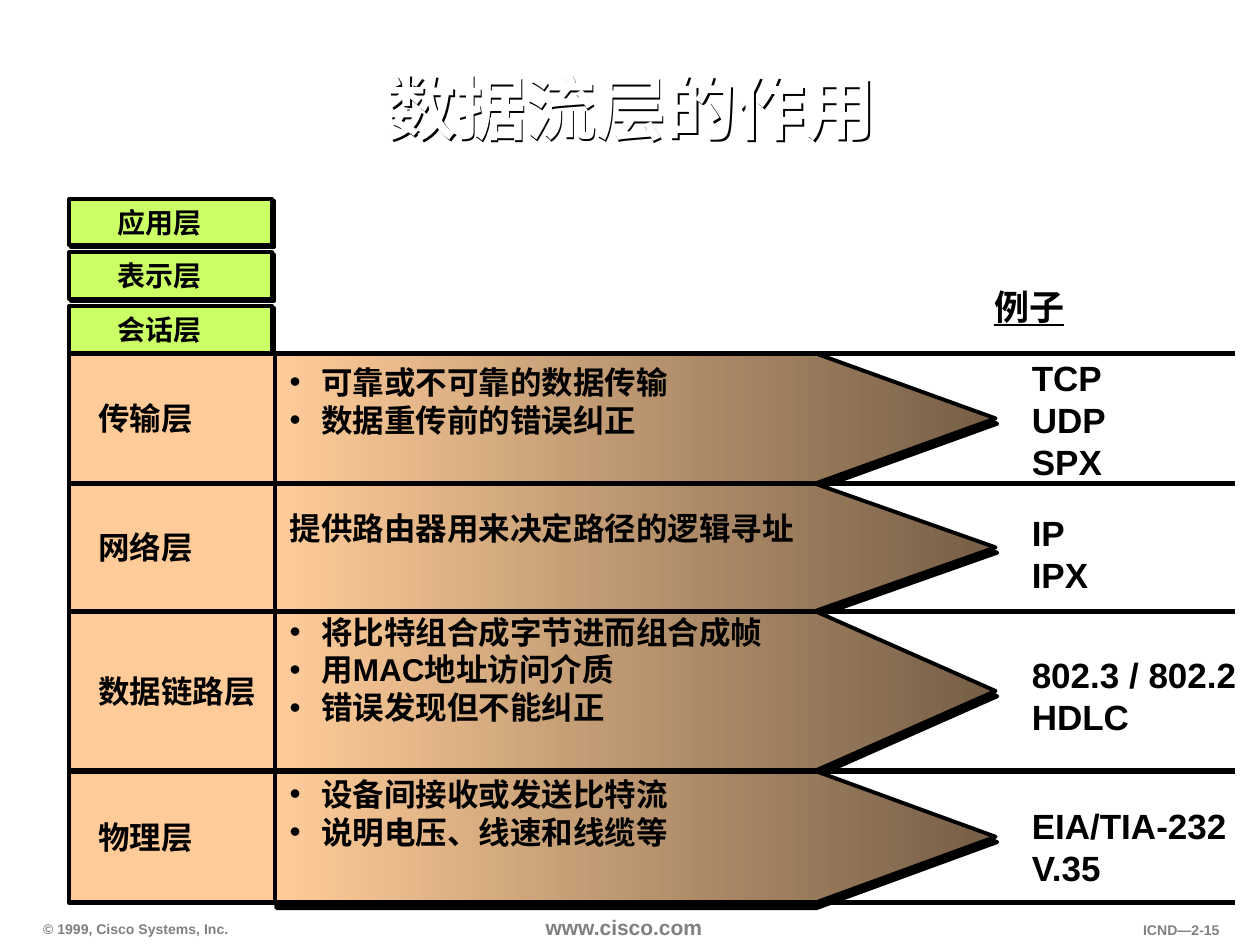
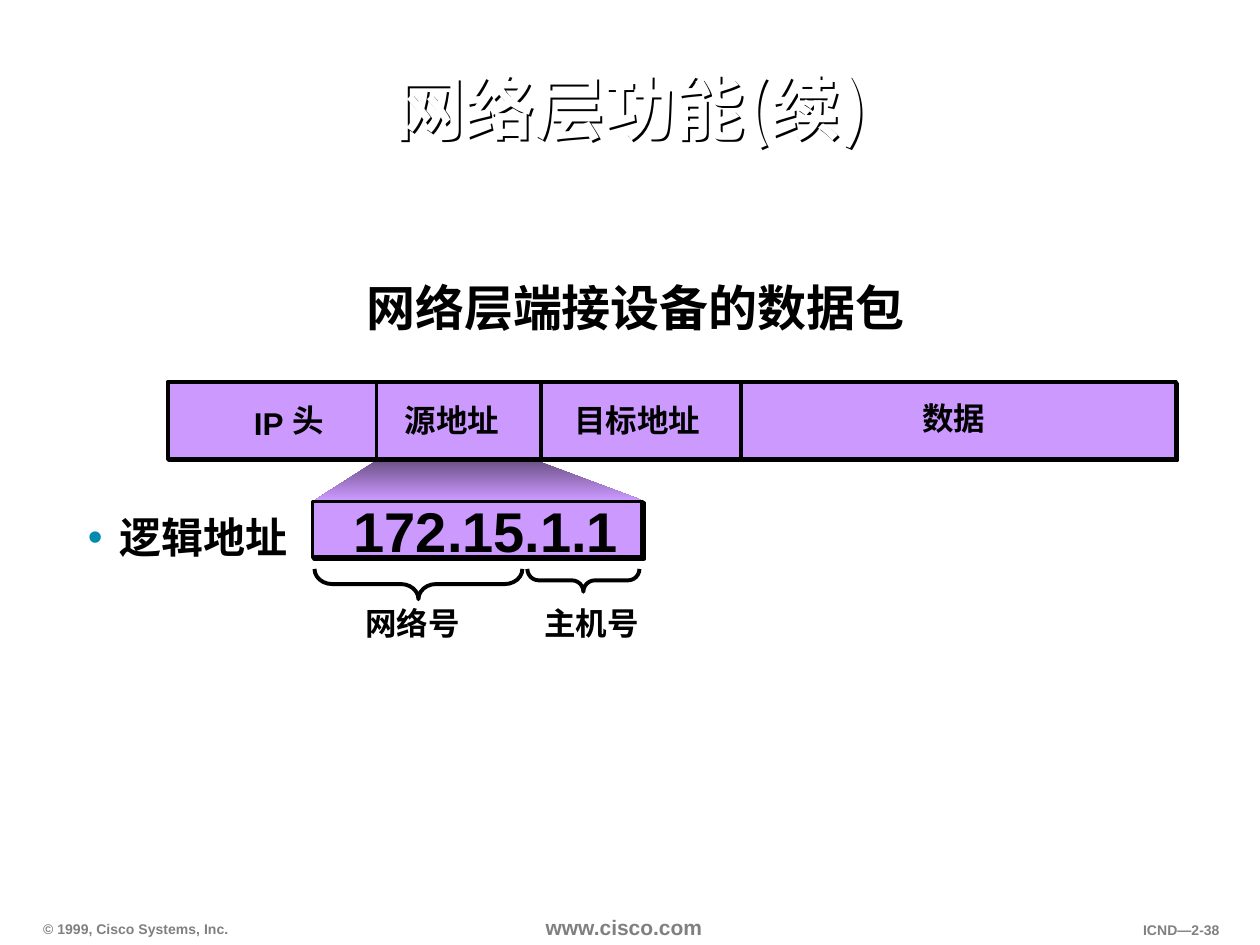
from dataclasses import dataclass
from typing import Any, NamedTuple, Optional

import lxml.etree
import pptx
import pptx.dml.color
import pptx.enum.shapes
import pptx.enum.text
import pptx.oxml.ns
import pptx.util

Cm = pptx.util.Cm
Pt = pptx.util.Pt
qn = pptx.oxml.ns.qn
Align = pptx.enum.text.PP_ALIGN
Anchor = pptx.enum.text.MSO_ANCHOR
Preset = pptx.enum.shapes.MSO_SHAPE


class Style(NamedTuple):
    size: float
    color: str = "000000"
    font: str = "Arial"
    underline: bool = False


class Shadow(NamedTuple):
    distance: float
    angle: int


class Bullet(NamedTuple):
    color: str
    margin: float
    hanging: float = 0.64


class Area(NamedTuple):
    left: float
    top: float
    width: float
    height: float


class Layout(NamedTuple):
    align: Any = Align.LEFT
    anchor: Any = Anchor.MIDDLE
    inset_x: float = 0.25
    inset_y: float = 0.13
    spacing: float = 1.0


@dataclass(frozen=True)
class Theme:
    ink: str = "000000"
    upper_layer: str = "CCFF66"
    lower_layer: str = "FFCC99"
    arrow_dark: str = "755E46"
    packet: str = "CC99FF"
    packet_dark: str = "5E4675"
    east_asian: str = "Noto Sans CJK SC"
    outline: float = 2.25
    rule: float = 3
    title: Style = Style(40, "FFFFFF")
    title_cjk: Style = Style(40, "FFFFFF", "Noto Sans CJK SC")
    heading: Style = Style(28)
    address: Style = Style(32)
    point: Style = Style(24)
    example: Style = Style(20)
    example_head: Style = Style(20, underline=True)
    label: Style = Style(18)
    upper_label: Style = Style(16)
    footer: Style = Style(8, "808080")
    site: Style = Style(12, "808080")
    box_shadow: Shadow = Shadow(1.4, 45)
    arrow_shadow: Shadow = Shadow(3.2, 72)
    title_shadow: Shadow = Shadow(1.5, 45)
    list_bullet: Bullet = Bullet("000000", 0.64)
    point_bullet: Bullet = Bullet("008AAE", 0.97)


THEME = Theme()


@dataclass(frozen=True)
class Layer:
    name: str
    duties: list[str]
    duties_top: float
    examples: list[str]
    examples_middle: float
    bullet: Optional[Bullet] = THEME.list_bullet


class Caption(NamedTuple):
    text: str
    center: float
    middle: float
    style: Style = THEME.label


class Brace(NamedTuple):
    area: Area
    curve: float


UPPER_LAYERS = ["应用层", "表示层", "会话层"]
UPPER_TOP, UPPER_STEP, UPPER_HEIGHT = 4.01, 1.08, 0.94
STACK_LEFT, STACK_WIDTH = 1.4, 4.14
ROW_EDGES = [7.12, 9.75, 12.32, 15.54, 18.2]
ARROW_LEFT, ARROW_SHOULDER, ARROW_TIP, RULE_RIGHT = 5.54, 16.43, 20.07, 24.89
LAYERS = [
    Layer("传输层", ["可靠或不可靠的数据传输", "数据重传前的错误纠正"], 7.19,
          ["TCP", "UDP", "SPX"], 8.46),
    Layer("网络层", ["提供路由器用来决定路径的逻辑寻址"], 10.13,
          ["IP", "IPX"], 11.16, None),
    Layer("数据链路层", ["将比特组合成字节进而组合成帧", "用MAC地址访问介质", "错误发现但不能纠正"],
          12.22, ["802.3 / 802.2", "HDLC"], 14.03),
    Layer("物理层", ["设备间接收或发送比特流", "说明电压、线速和线缆等"], 15.49,
          ["EIA/TIA-232", "V.35"], 17.06),
]

PACKET = Area(3.38, 7.7, 20.32, 1.55)
ADDRESS = Area(6.3, 10.11, 6.65, 1.12)
DIVIDERS = [7.59, 10.9, 14.94]
ZOOM = [(7.77, 9.17), (6.35, 10.08), (12.93, 10.08), (10.72, 9.25)]
BRACES = [Brace(Area(8.13, 9.68, 0.61, 4.19), 0.58),
          Brace(Area(11.53, 10.57, 0.46, 2.26), 0.5)]
CAPTIONS = [
    Caption("网络层端接设备的数据包", 12.81, 6.18, THEME.heading),
    Caption("IP", 5.42, 8.53),
    Caption("头", 6.21, 8.46),
    Caption("源地址", 9.11, 8.46),
    Caption("目标地址", 12.85, 8.46),
    Caption("数据", 19.23, 8.43),
    Caption("172.15.1.1", 9.8, 10.69, THEME.address),
    Caption("网络号", 8.32, 12.55),
    Caption("主机号", 11.92, 12.55),
]


def rgb(color: str) -> Any:
    return pptx.dml.color.RGBColor.from_string(color)


def apply(target: Any, values: dict[str, Any]) -> None:
    for name, value in values.items():
        setattr(target, name, value)


def add_outer_shadow(effects: Any, shadow: Shadow) -> None:
    outer = lxml.etree.SubElement(
        effects, qn("a:outerShdw"), dist=str(int(Pt(shadow.distance))),
        dir=str(shadow.angle * 60000), algn="ctr", rotWithShape="0")
    lxml.etree.SubElement(outer, qn("a:srgbClr"), val=THEME.ink)


def set_shadow(shape: Any, shadow: Optional[Shadow]) -> None:
    shape.shadow.inherit = False
    if shadow:
        add_outer_shadow(shape.element.spPr.find(qn("a:effectLst")), shadow)


def set_bullet(para: Any, bullet: Optional[Bullet]) -> None:
    properties = para._p.get_or_add_pPr()
    margin, hanging = (bullet.margin, bullet.hanging) if bullet else (0, 0)
    properties.set("marL", str(int(Cm(margin))))
    properties.set("indent", str(-int(Cm(hanging))))
    if bullet:
        color = lxml.etree.SubElement(properties, qn("a:buClr"))
        lxml.etree.SubElement(color, qn("a:srgbClr"), val=bullet.color)
        lxml.etree.SubElement(properties, qn("a:buFont"), typeface="Arial")
        lxml.etree.SubElement(properties, qn("a:buChar"), char="•")
    else:
        lxml.etree.SubElement(properties, qn("a:buNone"))


def write(shape: Any, lines: list[str], style: Style, layout: Layout = Layout(),
          bullet: Optional[Bullet] = None) -> None:
    frame = shape.text_frame
    apply(frame, {
        "word_wrap": True, "auto_size": pptx.enum.text.MSO_AUTO_SIZE.NONE,
        "vertical_anchor": layout.anchor,
        "margin_left": Cm(layout.inset_x), "margin_right": Cm(0.25),
        "margin_top": Cm(layout.inset_y), "margin_bottom": Cm(layout.inset_y)})
    for index, line in enumerate(lines):
        para = frame.add_paragraph() if index else frame.paragraphs[0]
        set_bullet(para, bullet)
        apply(para, {"alignment": layout.align, "line_spacing": layout.spacing,
                     "space_before": Pt(0), "space_after": Pt(0)})
        span = para.add_run()
        span.text = line
        apply(span.font, {"size": Pt(style.size), "bold": True, "name": style.font,
                          "underline": style.underline})
        span.font.color.rgb = rgb(style.color)
        lxml.etree.SubElement(span._r.get_or_add_rPr(), qn("a:ea"),
                              typeface=THEME.east_asian)


def place(shape: Any, area: Area) -> None:
    apply(shape, {name: Cm(value) for name, value in area._asdict().items()})


def add_text(page: Any, area: Area, lines: list[str], style: Style,
             layout: Layout = Layout()) -> None:
    box = page.shapes.add_textbox(*map(Cm, area))
    write(box, lines, style, layout)


def add_caption(page: Any, caption: Caption) -> None:
    width = len(caption.text) * caption.style.size * 0.036 + 1
    area = Area(caption.center - width / 2, caption.middle - 0.8, width, 1.6)
    add_text(page, area, [caption.text], caption.style, Layout(Align.CENTER))


def set_outline(shape: Any, width: float) -> None:
    shape.line.color.rgb = rgb(THEME.ink)
    shape.line.width = Pt(width)


def add_box(page: Any, area: Area, color: str, shadow: Optional[Shadow] = None) -> Any:
    box = page.shapes.add_shape(Preset.RECTANGLE, *map(Cm, area))
    box.fill.solid()
    box.fill.fore_color.rgb = rgb(color)
    set_outline(box, THEME.outline)
    set_shadow(box, shadow)
    return box


def add_gradient_outline(page: Any, points: list[tuple[float, float]], angle: int,
                         colors: tuple[str, str]) -> Any:
    corners = [(Cm(x), Cm(y)) for x, y in points]
    builder = page.shapes.build_freeform(*corners[0])
    builder.add_line_segments(corners[1:], close=True)
    shape = builder.convert_to_shape()
    shape.fill.gradient()
    shape.fill.gradient_angle = angle
    for stop, color in zip(shape.fill.gradient_stops, colors):
        stop.color.rgb = rgb(color)
    return shape


def add_rule(page: Any, start: tuple[float, float], end: tuple[float, float],
             width: float) -> None:
    rule = page.shapes.add_connector(
        pptx.enum.shapes.MSO_CONNECTOR.STRAIGHT, *map(Cm, start + end))
    set_outline(rule, width)
    lxml.etree.SubElement(rule.element.spPr, qn("a:effectLst"))


def add_page(deck: Any, layout_index: int, title: str, style: Style, number: str) -> Any:
    page = deck.slides.add_slide(deck.slide_layouts[layout_index])
    heading = page.shapes.title
    place(heading, Area(2.13, 0.66, 21.18, 3.18))
    write(heading, [title], style, Layout(Align.CENTER, spacing=0.9))
    set_shadow(heading, THEME.title_shadow)
    properties = heading.text_frame.paragraphs[0].runs[0]._r.get_or_add_rPr()
    effects = lxml.etree.Element(qn("a:effectLst"))
    add_outer_shadow(effects, THEME.title_shadow)
    properties.find(qn("a:latin")).addprevious(effects)
    add_text(page, Area(0.64, 18.44, 4.8, 0.56), ["© 1999, Cisco Systems, Inc."],
             THEME.footer, Layout(anchor=Anchor.BOTTOM, inset_x=0.23, inset_y=0.1))
    add_text(page, Area(10.8, 18.34, 4.2, 0.71), ["www.cisco.com"],
             THEME.site, Layout(anchor=Anchor.TOP, inset_x=0.2, inset_y=0.1))
    add_text(page, Area(21.79, 18.47, 3.05, 0.56), [number],
             THEME.footer, Layout(Align.RIGHT, Anchor.TOP, inset_y=0.1))
    return page


def fill_body(body: Any, area: Area, lines: list[str], style: Style, anchor: Any,
              bullet: Optional[Bullet]) -> None:
    place(body, area)
    write(body, lines, style, Layout(anchor=anchor), bullet)
    body.element.getparent().append(body.element)


def build_layers_page(deck: Any) -> None:
    page = add_page(deck, 4, "数据流层的作用", THEME.title, "ICND—2-15")
    bodies = list(page.placeholders)[1:]
    for index, name in enumerate(UPPER_LAYERS):
        area = Area(STACK_LEFT, UPPER_TOP + index * UPPER_STEP, 4.09, UPPER_HEIGHT)
        box = add_box(page, area, THEME.upper_layer, THEME.box_shadow)
        write(box, [name], THEME.upper_label, Layout(inset_x=0.97, inset_y=0))
    add_text(page, Area(19.79, 5.61, 5, 1.12), ["例子"], THEME.example_head)
    for layer, body, top, bottom in zip(LAYERS, bodies, ROW_EDGES, ROW_EDGES[1:]):
        points = [(ARROW_LEFT, top), (ARROW_SHOULDER, top),
                  (ARROW_TIP, (top + bottom) / 2),
                  (ARROW_SHOULDER, bottom), (ARROW_LEFT, bottom)]
        arrow = add_gradient_outline(page, points, 0, (THEME.lower_layer, THEME.arrow_dark))
        set_outline(arrow, THEME.outline)
        set_shadow(arrow, THEME.arrow_shadow)
        box = add_box(page, Area(STACK_LEFT, top, STACK_WIDTH, bottom - top),
                      THEME.lower_layer)
        write(box, [layer.name], THEME.label, Layout(inset_x=0.58))
        add_text(page, Area(20.55, layer.examples_middle - 1.4, 4.83, 2.8),
                 layer.examples, THEME.example)
        fill_body(body, Area(5.59, layer.duties_top, 12.65, 2.54), layer.duties,
                  THEME.label, Anchor.TOP, layer.bullet)
    for edge in ROW_EDGES:
        add_rule(page, (STACK_LEFT, edge), (RULE_RIGHT, edge), THEME.rule)


def build_address_page(deck: Any) -> None:
    page = add_page(deck, 1, "网络层功能(续)", THEME.title_cjk, "ICND—2-38")
    zoom = add_gradient_outline(page, ZOOM, 270, (THEME.packet_dark, THEME.packet))
    zoom.line.fill.background()
    set_shadow(zoom, None)
    for area in (PACKET, ADDRESS):
        add_box(page, area, THEME.packet, THEME.box_shadow)
    for x in DIVIDERS:
        add_rule(page, (x, PACKET.top), (x, PACKET.top + PACKET.height), THEME.outline)
    for area, curve in BRACES:
        brace = page.shapes.add_shape(Preset.RIGHT_BRACE, *map(Cm, area))
        brace.rotation = 90
        brace.adjustments[0] = curve
        brace.fill.background()
        set_outline(brace, THEME.outline)
        set_shadow(brace, None)
    for caption in CAPTIONS:
        add_caption(page, caption)
    fill_body(page.placeholders[1], Area(1.19, 10.19, 5.64, 1.27), ["逻辑地址"],
              THEME.point, Anchor.MIDDLE, THEME.point_bullet)


def main() -> None:
    deck = pptx.Presentation()
    apply(deck, {"slide_width": Cm(25.4), "slide_height": Cm(19.05)})
    build_layers_page(deck)
    build_address_page(deck)
    deck.save("out.pptx")


if __name__ == "__main__":
    main()
